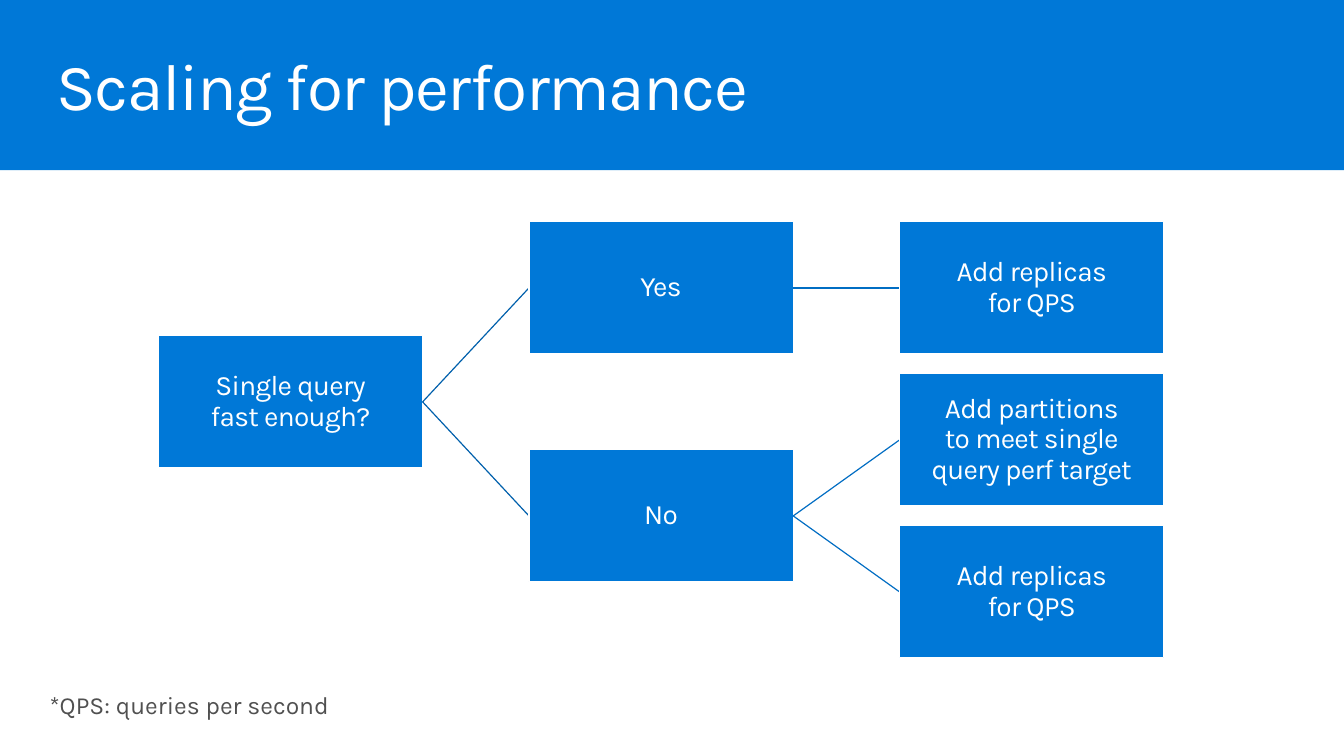
from lxml import etree
from pptx import Presentation
from pptx.dml.color import RGBColor
from pptx.enum.shapes import MSO_CONNECTOR, MSO_SHAPE
from pptx.enum.text import MSO_ANCHOR, MSO_AUTO_SIZE, PP_ALIGN
from pptx.oxml.ns import qn
from pptx.util import Cm, Pt

RECTANGLE = MSO_SHAPE.RECTANGLE
STRAIGHT = MSO_CONNECTOR.STRAIGHT
TOP, MIDDLE = MSO_ANCHOR.TOP, MSO_ANCHOR.MIDDLE
LEFT, CENTER = PP_ALIGN.LEFT, PP_ALIGN.CENTER
NO_FIT, GROW = MSO_AUTO_SIZE.NONE, MSO_AUTO_SIZE.SHAPE_TO_FIT_TEXT

COLORS = {
    "blue": "0078D7",
    "first_link": "0060AC",
    "second_link": "006DC3",
    "white": "FFFFFF",
    "gray": "505050",
}
FONT = "Karla"
LINE_WIDTH = Pt(0.85)
BOX_WIDTH, BOX_HEIGHT = 6.66, 3.33
COLUMNS = [3.99 + 9.34 * level for level in range(3)]
ROWS = [5.59 + 3.83 * row for row in range(3)]
RIGHT_SIDE, LEFT_SIDE = 3, 1


def color(name):
    return RGBColor.from_string(COLORS[name])


def write(shape, text, size, ink="white", align=LEFT, anchor=TOP, fit=NO_FIT,
          wrap=True, margins=(0.25, 0.13), after=0, tracking=0):
    frame = shape.text_frame
    frame.auto_size = fit
    frame.word_wrap = wrap
    frame.vertical_anchor = anchor
    frame.margin_left = frame.margin_right = Cm(margins[0])
    frame.margin_top = frame.margin_bottom = Cm(margins[1])
    paragraph = frame.paragraphs[0]
    paragraph.text = text.replace("\n", "\v")
    paragraph.alignment = align
    paragraph.line_spacing = 0.9
    paragraph.space_before = Pt(0)
    paragraph.space_after = Pt(after)
    for run in paragraph.runs:
        run.font.name = FONT
        run.font.size = Pt(size)
        run.font.color.rgb = color(ink)
        run._r.get_or_add_rPr().set("spc", str(round(tracking * 100)))


class DecisionSlide:
    def __init__(self, deck):
        self.slide = deck.slides.add_slide(deck.slide_layouts[5])
        self.shapes = self.slide.shapes

    def rectangle(self, left, top, width, height):
        block = self.shapes.add_shape(RECTANGLE, Cm(left), Cm(top), Cm(width), Cm(height))
        block.shadow.inherit = False
        block.fill.solid()
        block.fill.fore_color.rgb = color("blue")
        block.line.fill.background()
        return block

    def header(self, text):
        band = self.rectangle(0, 0, 33.87, 4.29)
        title = self.shapes.title
        title.element.addprevious(band.element)
        title.left, title.top, title.width, title.height = Cm(1.17), Cm(1.22), Cm(32.6), Cm(2.08)
        write(title, text, 47, tracking=-1)

    def step(self, text, level, top, margin=0.03, after=7):
        box = self.rectangle(COLUMNS[level], top, BOX_WIDTH, BOX_HEIGHT)
        box.line.color.rgb = color("white")
        box.line.width = LINE_WIDTH
        write(box, text, 20, align=CENTER, anchor=MIDDLE, margins=(margin, margin),
              after=after, tracking=-0.5)
        return box

    def link(self, parent, child, ink):
        branch = self.shapes.add_connector(STRAIGHT, 0, 0, 0, 0)
        branch.begin_connect(parent, RIGHT_SIDE)
        branch.end_connect(child, LEFT_SIDE)
        branch.line.color.rgb = color(ink)
        branch.line.width = LINE_WIDTH
        etree.SubElement(branch.element.spPr, qn("a:effectLst"))
        child.element.addprevious(branch.element)

    def footnote(self, text):
        note = self.shapes.add_textbox(Cm(0.74), Cm(17.12), Cm(8.15), Cm(1.47))
        write(note, text, 17.6, ink="gray", fit=GROW, wrap=False,
              margins=(0.51, 0.41), after=5.9)


def main():
    deck = Presentation()
    deck.slide_width, deck.slide_height = Cm(33.87), Cm(19.05)
    page = DecisionSlide(deck)
    page.header("Scaling for performance")

    yes_top = ROWS[0]
    no_top = (ROWS[1] + ROWS[2]) / 2
    question = page.step("Single query\nfast enough?", 0, (yes_top + no_top) / 2, margin=0.25)
    yes = page.step("Yes", 1, yes_top)
    no = page.step("No", 1, no_top)
    for answer in (yes, no):
        page.link(question, answer, "first_link")

    actions = [
        (yes, "Add replicas\nfor QPS", 0.03),
        (no, "Add partitions\nto meet single\nquery perf target", 0.25),
        (no, "Add replicas\nfor QPS", 0.03),
    ]
    for top, (answer, text, margin) in zip(ROWS, actions):
        action = page.step(text, 2, top, margin=margin, after=2)
        page.link(answer, action, "second_link")

    page.footnote("*QPS: queries per second")
    deck.save("out.pptx")


if __name__ == "__main__":
    main()
